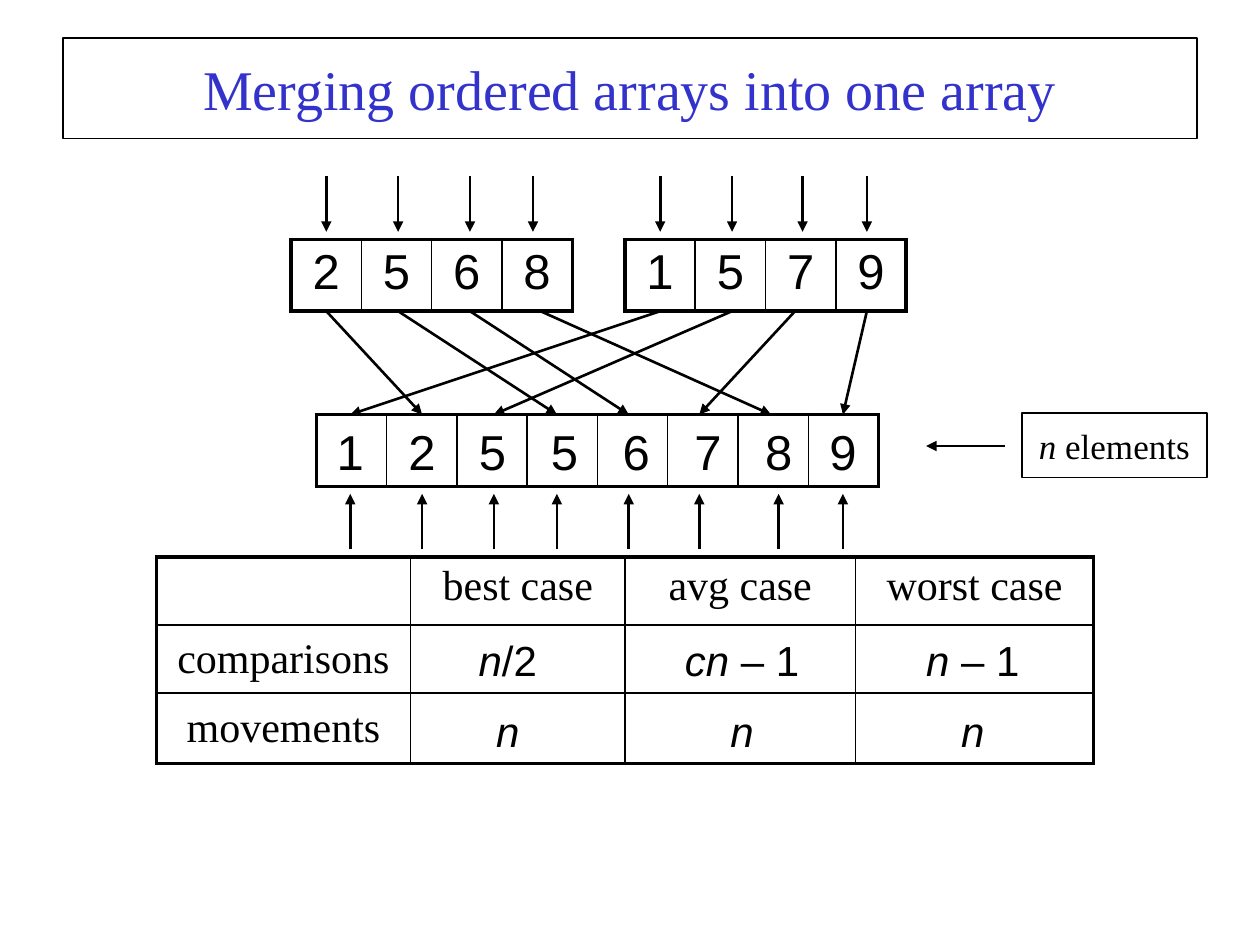
from pptx import Presentation
from pptx import util as u
from pptx.dml.color import RGBColor
from pptx.enum import shapes, text
from pptx.oxml import parse_xml
from pptx.oxml.ns import nsdecls, qn

COLORS = {"ink": "000000", "title": "3333CC"}
SERIF, SANS = "Times New Roman", "Arial"
COLS, ROWS = 100, 75
THICK, THIN = 2.25, 1
MIDDLE, TOP = text.MSO_ANCHOR.MIDDLE, text.MSO_ANCHOR.TOP


def color(name):
    return RGBColor.from_string(COLORS[name])


def write(frame, words, size=24, font=SANS, ink="ink", anchor=TOP):
    """Fill a frame with one centred line; parts between asterisks are italic."""
    frame.word_wrap = True
    frame.vertical_anchor = anchor
    para = frame.paragraphs[0]
    para.alignment = text.PP_ALIGN.CENTER
    for i, part in enumerate(words.split("*")):
        if part:
            run = para.add_run()
            run.text = part
            run.font.size = u.Pt(size)
            run.font.name = font
            run.font.italic = i % 2 == 1
            run.font.color.rgb = color(ink)


class Board:
    """Holds the slide and places elements on a grid of COLS by ROWS."""

    def __init__(self, deck):
        self.slide = deck.slides.add_slide(deck.slide_layouts[6])
        self.col = deck.slide_width / COLS
        self.row = deck.slide_height / ROWS

    def place(self, x, y, w, h):
        return [int(n) for n in (x * self.col, y * self.row, w * self.col, h * self.row)]

    def box(self, place, words, **form):
        rect = self.slide.shapes.add_shape(shapes.MSO_SHAPE.RECTANGLE, *self.place(*place))
        rect.shadow.inherit = False
        rect.fill.background()
        rect.line.color.rgb = color("ink")
        rect.line.width = u.Pt(THIN)
        write(rect.text_frame, words, anchor=MIDDLE, **form)

    def label(self, place, words, **form):
        area = self.slide.shapes.add_textbox(*self.place(*place))
        write(area.text_frame, words, **form)

    def arrow(self, x1, y1, x2, y2):
        start, end = self.place(x1, y1, 0, 0)[:2], self.place(x2, y2, 0, 0)[:2]
        line = self.slide.shapes.add_connector(shapes.MSO_CONNECTOR.STRAIGHT, *start, *end)
        line.line.color.rgb = color("ink")
        line.line.width = u.Pt(1.5)
        line.line._get_or_add_ln().append(
            parse_xml(f'<a:tailEnd {nsdecls("a")} type="triangle"/>'))
        line._element.spPr.append(parse_xml(f'<a:effectLst {nsdecls("a")}/>'))

    def table(self, x, y, widths, heights, words, **form):
        """Draw a grid with a thick frame; words holds one list per row."""
        place = self.place(x, y, sum(widths), sum(heights))
        grid = self.slide.shapes.add_table(len(heights), len(widths), *place).table
        grid.first_row = grid.horz_banding = False
        for col, width in zip(grid.columns, widths):
            col.width = int(width * self.col)
        for row, height in zip(grid.rows, heights):
            row.height = int(height * self.row)
        for r, line in enumerate(words):
            for c, word in enumerate(line):
                cell = grid.cell(r, c)
                anchor = MIDDLE if r else TOP
                write(cell.text_frame, word, **form)
                cell.vertical_anchor = anchor
                cell.fill.background()
                border(cell, L=c == 0, R=c == len(widths) - 1,
                       T=r == 0, B=r == len(heights) - 1)


def border(cell, **outer):
    """Line each side of a cell, thick where the side is on the table's frame."""
    props = cell._tc.get_or_add_tcPr()
    for i, (side, edge) in enumerate(outer.items()):
        width = int(u.Pt(THICK if edge else THIN))
        props.insert(i, parse_xml(
            f'<a:ln{side} {nsdecls("a")} w="{width}"><a:solidFill>'
            f'<a:srgbClr val="{COLORS["ink"]}"/></a:solidFill></a:ln{side}>'))


def main():
    deck = Presentation()
    deck.slide_width, deck.slide_height = u.Inches(10), u.Inches(7.5)
    board = Board(deck)
    board.box((5, 3, 90, 8), "Merging ordered arrays into one array",
              size=32, font=SERIF, ink="title")

    # Arrays to merge, and the frame of the merged one
    side = 5.58
    for x, y, digits in ((23.1, 19, "2568"), (49.6, 19, "1579"), (25.1, 32.9, [""] * 8)):
        board.table(x, y, [side] * len(digits), [5.7], [digits], size=28)

    # Each link: pointer above, exit from its cell, entry to the merged array
    links = ((25.9, 25.9, 33.5), (31.6, 31.6, 44.2), (37.3, 37.3, 49.9), (42.3, 42.9, 61.2),
             (52.4, 52.4, 27.8), (58.1, 58.1, 39.2), (63.1 + 0.6, 63.1, 55.5),
             (68.8, 68.8, 66.9))
    for above, leave, enter in links:
        board.arrow(above, 14, above, 18.4)
        board.arrow(leave, 24.7, enter, 32.9)

    # Each merged digit: its centre and the pointer below
    merged = ((27.8, 27.8), (33.5, 33.5), (39.1, 39.2), (44.8, 44.2),
              (50.5, 49.9), (56.2, 55.5), (61.8, 61.8), (66.9, 66.9))
    for digit, (mid, below) in zip("12556789", merged):
        board.label((mid - 2.5, 32.9, 5, 5.7), digit, size=28, anchor=MIDDLE)
        board.arrow(below, 43.6, below, 39.2)

    board.box((81.1, 32.8, 14.7, 5.1), "*n* elements", size=20, font=SERIF)
    board.arrow(79.8, 35.4, 73.5, 35.4)

    # Cost of merging
    board.table(12.4, 44.2, [20.2, 17, 18.3, 18.9], [5.4, 5.4, 5.6],
                [["", "best case", "avg case", "worst case"],
                 ["comparisons", "", "", ""],
                 ["movements", "", "", ""]], font=SERIF)
    costs = ((33.2, "*n*/2"), (51.8, "*cn* – 1"), (70.1, "*n* – 1"))
    for x, compare in costs:
        for y, words in ((49.9, compare), (55.5, "*n*")):
            board.label((x, y, 14.2, 5.1), words)

    deck.save("out.pptx")


if __name__ == "__main__":
    main()
